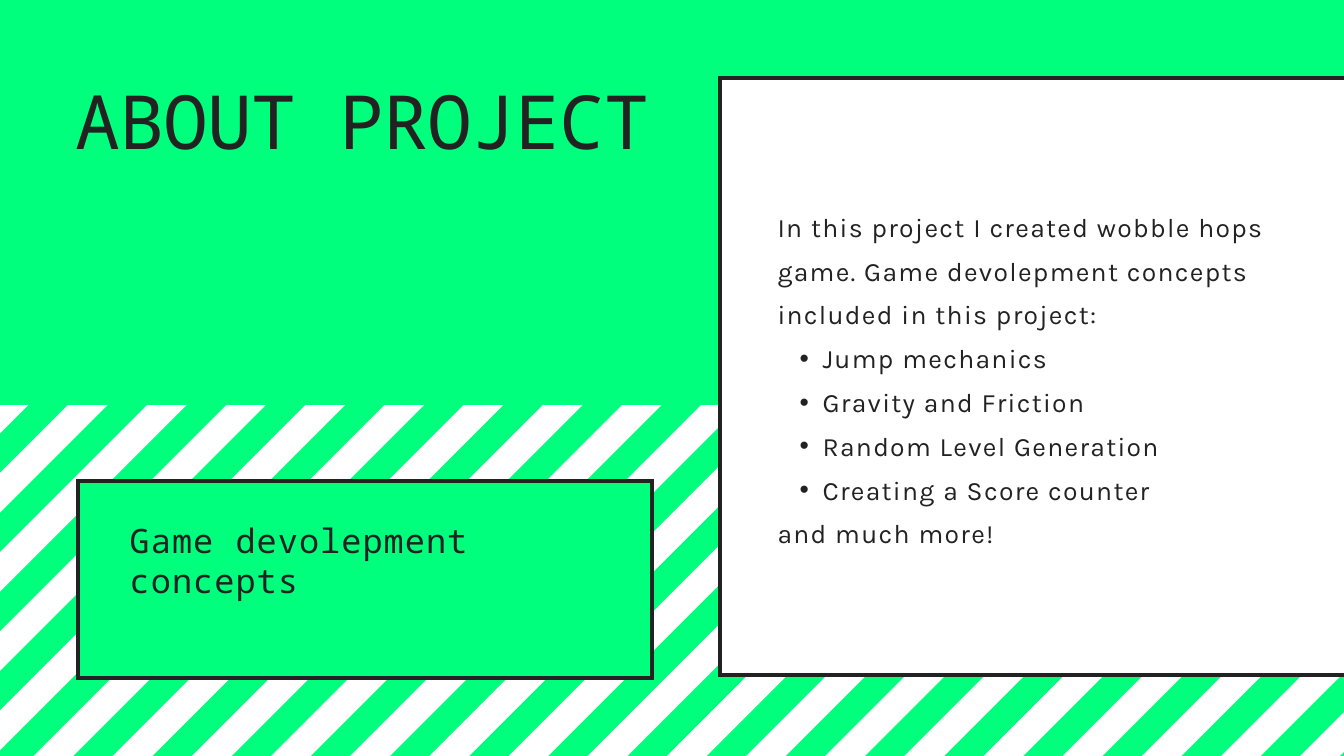
"""Build the "About project" slide: striped ground, label box and text panel."""
from pptx import Presentation
from pptx.dml.color import RGBColor
from pptx.enum.shapes import MSO_SHAPE
from pptx.enum.text import PP_ALIGN
from pptx.oxml.ns import qn
from pptx.util import Inches, Pt

RECTANGLE = MSO_SHAPE.RECTANGLE
LEFT, JUSTIFY = PP_ALIGN.LEFT, PP_ALIGN.JUSTIFY

GREEN, WHITE, INK = "00FF7D", "FFFFFF", "222222"
MONO, SANS = "Noto Sans Mono", "Karla"

TITLE = ["ABOUT PROJECT"]
LABEL = ["Game devolepment concepts"]
INTRO = ("In this project I created wobble hops game. "
         "Game devolepment concepts included in this project:")
CONCEPTS = ["Jump mechanics", "Gravity and Friction",
            "Random Level Generation", "Creating a Score counter"]
CLOSING = "and much more!"

STRIPE_AREA = (-0.27, 6.03, 21.28, 27.58)
STRIPE_COUNT, STRIPE_START, STRIPE_STEP, STRIPE_WIDTH = 37, 5.86, 1.178, 0.59
LABEL_BOX = (1.16, 7.16, 8.54, 2.93)
PANEL_BOX = (10.72, 1.16, 9.8, 8.89)


def color(value):
    return RGBColor.from_string(value)


def stripe_outline(start):
    left, top, right, bottom = STRIPE_AREA
    end = start + STRIPE_WIDTH

    def upper(total):
        return min(right, total - top), max(top, total - right)

    def lower(total):
        return max(left, total - bottom), min(bottom, total - left)

    crosses = start < right + top < end
    upper_corner = [(right, top)] if crosses else []
    lower_corner = [(left, bottom)] if crosses else []
    return [upper(start), *upper_corner, upper(end),
            lower(end), *lower_corner, lower(start)]


def add_stripes(page):
    builder = None
    for index in range(STRIPE_COUNT):
        outline = stripe_outline(STRIPE_START + index * STRIPE_STEP)
        first, *rest = [(Inches(x), Inches(y)) for x, y in outline]
        if builder is None:
            builder = page.shapes.build_freeform(*first)
        else:
            builder.move_to(*first)
        builder.add_line_segments(rest, close=True)
    stripes = builder.convert_to_shape()
    stripes.shadow.inherit = False
    stripes.fill.solid()
    stripes.fill.fore_color.rgb = color(WHITE)
    stripes.line.fill.background()


def add_framed_box(page, place, fill):
    box = page.shapes.add_shape(RECTANGLE, *map(Inches, place))
    box.shadow.inherit = False
    box.fill.solid()
    box.fill.fore_color.rgb = color(fill)
    box.line.color.rgb = color(INK)
    box.line.width = Pt(4.5)
    outline = box._element.spPr.find(qn("a:ln"))
    outline.append(outline.makeelement(qn("a:miter"), {"lim": "800000"}))


def add_bullet(para):
    para.level = 1
    properties = para._p.get_or_add_pPr()
    properties.set("marL", str(Inches(0.67)))
    properties.set("indent", str(Inches(-0.34)))
    font = properties.makeelement(qn("a:buFont"), {"typeface": "Arial"})
    bullet = properties.makeelement(qn("a:buChar"), {"char": "•"})
    properties.extend([font, bullet])


def add_text(page, lines, place, *, font, size, leading, tracking,
             bullets=(), justified=()):
    box = page.shapes.add_textbox(*map(Inches, place))
    frame = box.text_frame
    frame.word_wrap = True
    frame.margin_left = frame.margin_right = 0
    frame.margin_top = frame.margin_bottom = 0
    for index, line in enumerate(lines):
        para = frame.add_paragraph() if index else frame.paragraphs[0]
        para.alignment = JUSTIFY if line in justified else LEFT
        para.line_spacing = Pt(leading)
        if line in bullets:
            add_bullet(para)
        span = para.add_run()
        span.text = line
        span.font.name = font
        span.font.size = Pt(size)
        span.font.color.rgb = color(INK)
        span._r.get_or_add_rPr().set("spc", str(round(tracking * 100)))


def main():
    deck = Presentation()
    deck.slide_width, deck.slide_height = Inches(20), Inches(11.25)
    page = deck.slides.add_slide(deck.slide_layouts[6])
    page.background.fill.solid()
    page.background.fill.fore_color.rgb = color(GREEN)

    add_stripes(page)
    add_framed_box(page, LABEL_BOX, GREEN)
    add_text(page, LABEL, (1.93, 7.73, 6.98, 1.8),
             font=MONO, size=36, leading=43.2, tracking=1.1)
    add_framed_box(page, PANEL_BOX, WHITE)
    add_text(page, [INTRO, *CONCEPTS, CLOSING], (11.57, 2.96, 7.78, 5.15),
             font=SANS, size=28.4, leading=46.9, tracking=1.4,
             bullets=CONCEPTS, justified=[*CONCEPTS, CLOSING])
    add_text(page, TITLE, (1.12, 1.11, 8.59, 2.66),
             font=MONO, size=80, leading=96, tracking=-0.8)
    deck.save("out.pptx")


if __name__ == "__main__":
    main()
